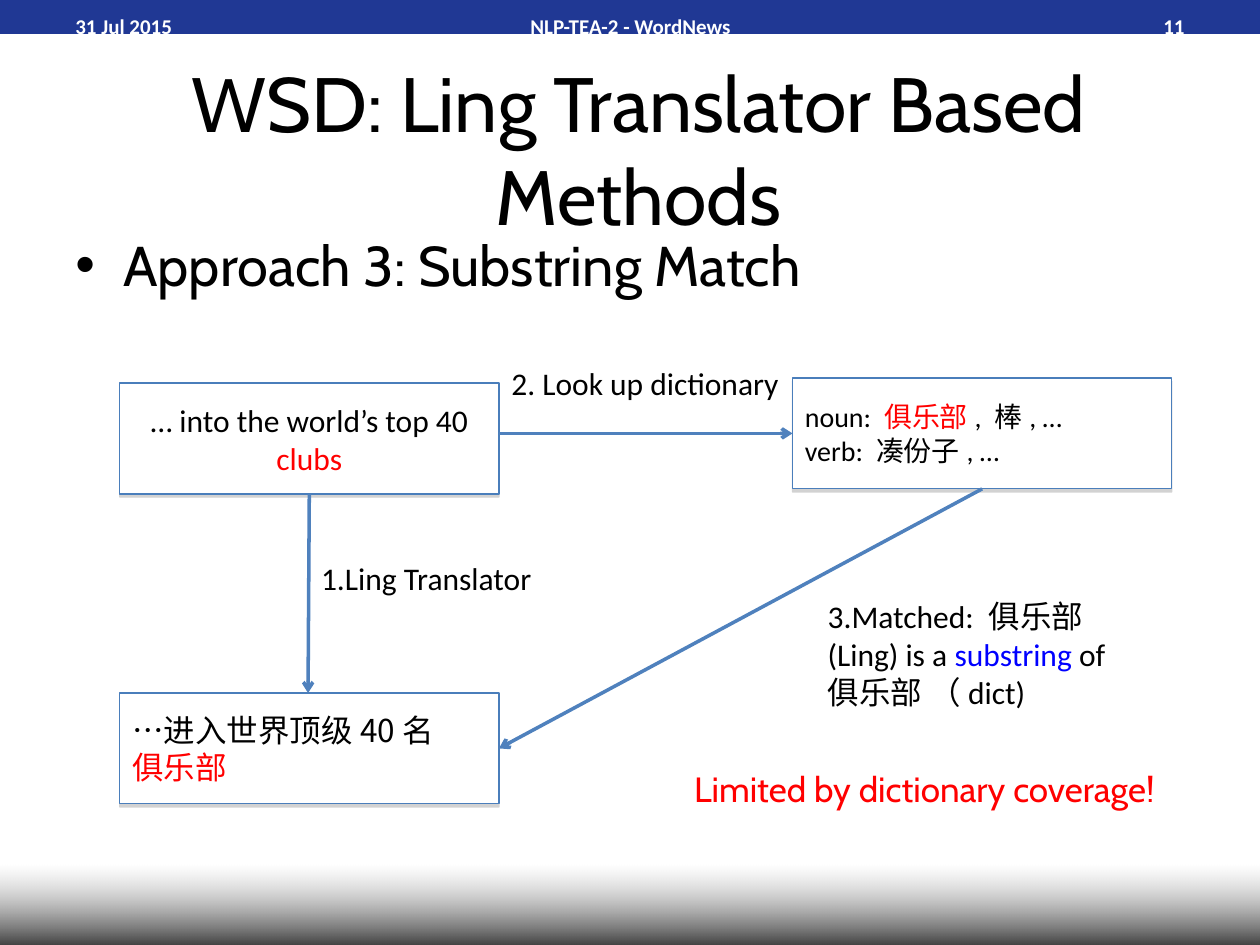
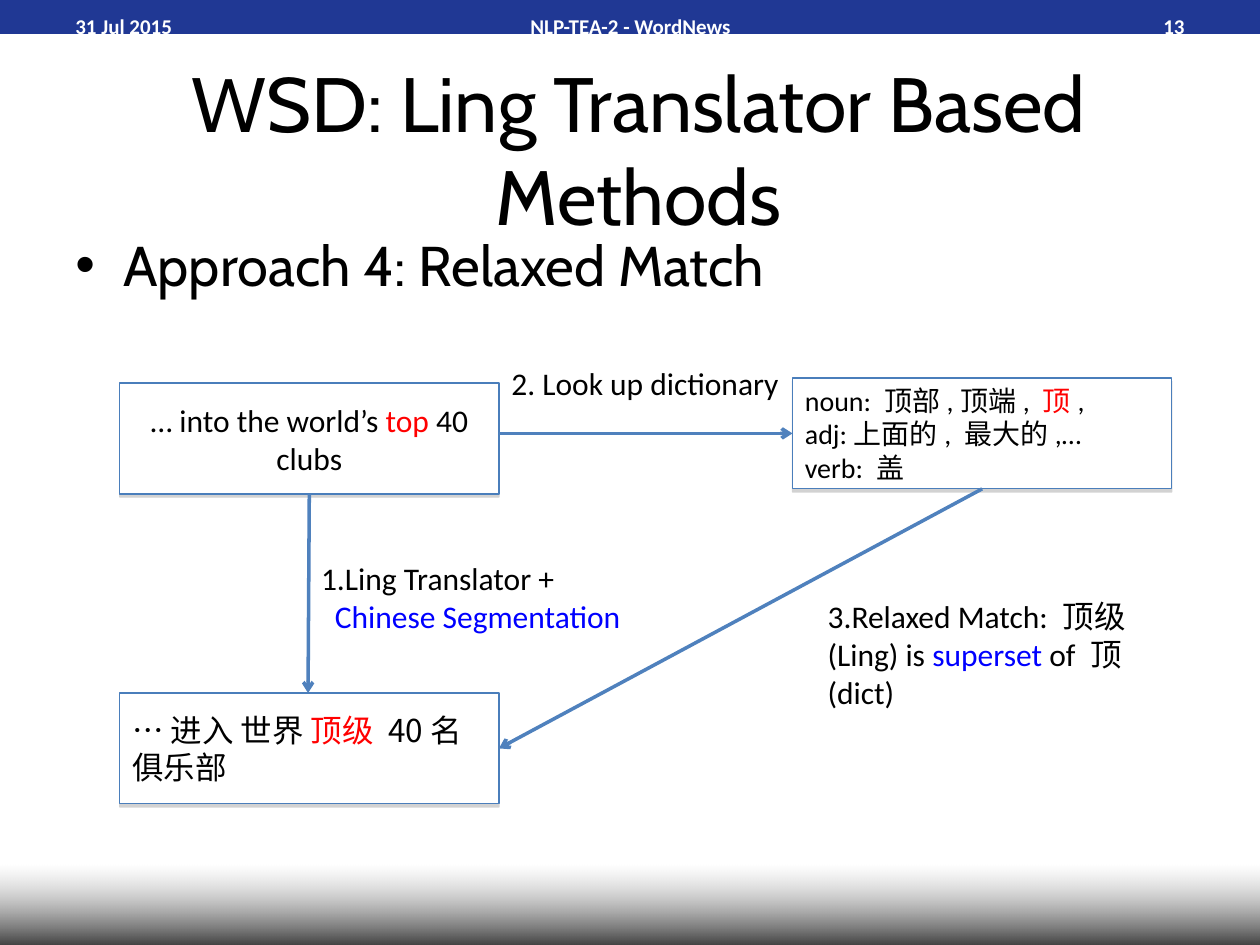
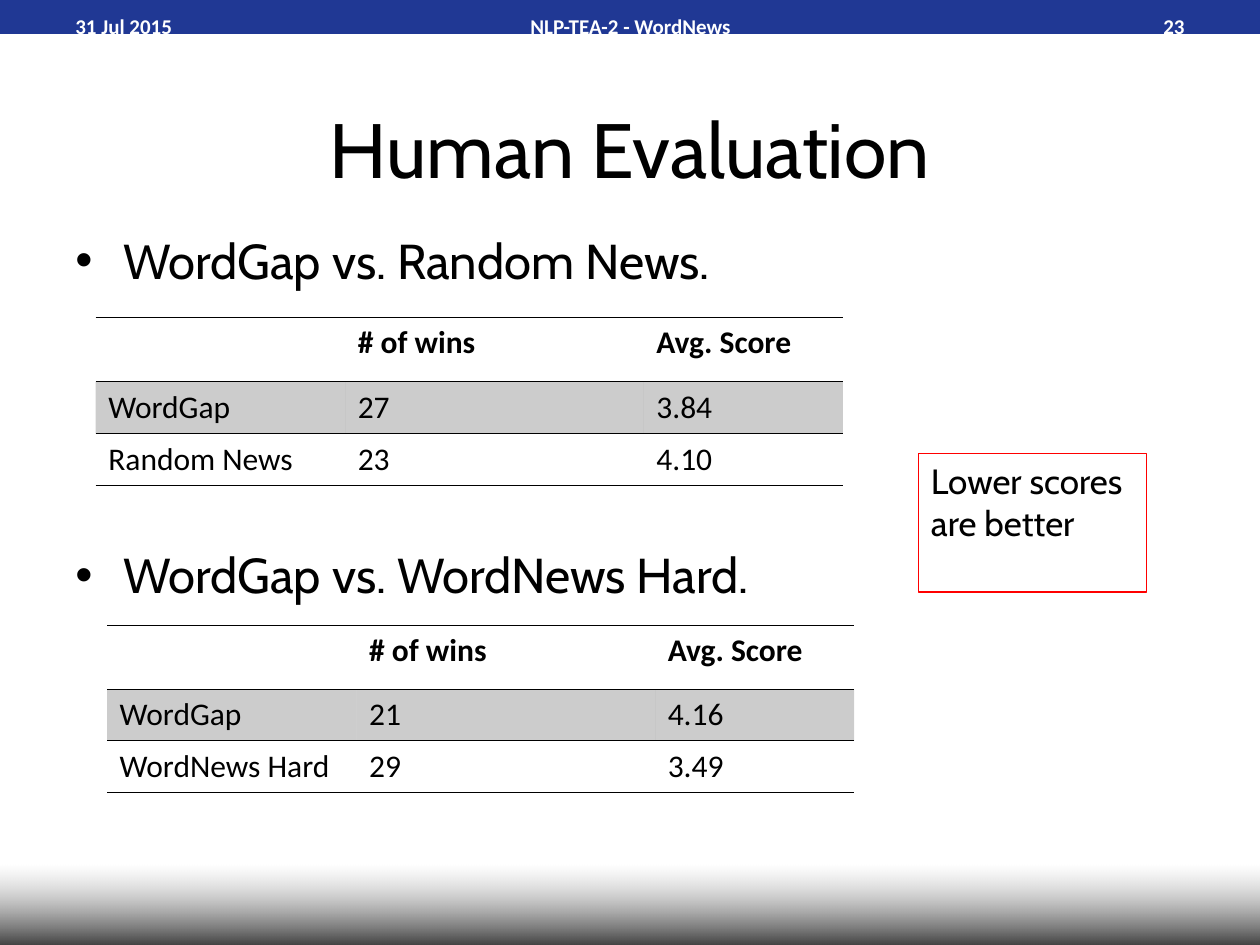
import pptx
import pptx.dml.color
import pptx.enum.shapes
import pptx.enum.text
import pptx.oxml.ns
import pptx.util
from lxml import etree

Inches, Pt = pptx.util.Inches, pptx.util.Pt
qn = pptx.oxml.ns.qn
ALIGN = pptx.enum.text.PP_ALIGN
ANCHOR = pptx.enum.text.MSO_ANCHOR
RECT = pptx.enum.shapes.MSO_SHAPE.RECTANGLE

# Shared look
HUES = {"black": "000000", "white": "FFFFFF", "band": "203894", "edge": "4A7EBB",
        "arrow": "4F81BD", "red": "FF0000", "blue": "0000FF", "shade": "808080"}
HEAD, BODY, HAN = "Cabin", "Calibri", "Noto Sans CJK SC"
FOOT_Y, FOOT_H = 0.1, 0.22

# Content: a paragraph is a list of runs, a run is text or (text, colour)
WSD = "WSD: Ling Translator Based Methods"
FLOWS = [
    dict(page="11", point="Approach 3: Substring Match",
         source=[["… into the world’s top 40 ", ("clubs", "red")]],
         entry=[["noun: ", ("俱乐部", "red"), ", 棒, …"], ["verb: 凑份子, …"]],
         target=[["…进入世界顶级40名"], [("俱乐部", "red")]],
         step=[["1.Ling Translator"]], extra=None,
         match=[["3.Matched: 俱乐部 (Ling) is a ", ("substring ", "blue"),
                 "of 俱乐部 （dict)"]],
         limit="Limited by dictionary coverage!"),
    dict(page="13", point="Approach 4: Relaxed Match",
         source=[["… into the world’s ", ("top", "red"), " 40 clubs"]],
         entry=[["noun: 顶部,顶端, ", ("顶", "red"), ","],
                ["adj:上面的, 最大的,…"], ["verb: 盖"]],
         target=[["… 进入 世界 ", ("顶级 ", "red"), "40名 俱乐部"]],
         step=[["1.Ling Translator +"]], extra="Chinese Segmentation",
         match=[["3.Relaxed Match: 顶级 (Ling) is ", ("superset ", "blue"),
                 "of 顶 (dict)"]],
         limit=None),
]
POINTS = [["WordGap vs. Random News."], ["WordGap vs. WordNews Hard."]]
HEADS = ["", "# of wins", "Avg. Score"]
SCORES = [
    ((0.76, 2.52), [HEADS, ["WordGap", "27", "3.84"], ["Random News", "23", "4.10"]]),
    ((0.85, 4.96), [HEADS, ["WordGap", "21", "4.16"], ["WordNews Hard", "29", "3.49"]]),
]
COLS, ROWS = [1.98, 2.37, 1.58], [0.51, 0.41, 0.41]


def rgb(name):
    return pptx.dml.color.RGBColor.from_string(HUES[name])


def fade(node, *shares):
    """Give each colour under node its opacity in percent."""
    for hue, share in zip(node.iter(qn("a:srgbClr")), shares):
        etree.SubElement(hue, qn("a:alpha"), val=str(share * 1000))


def write(frame, paras, size=18, font=BODY, color="black", bold=False,
          align=ALIGN.LEFT, anchor=ANCHOR.TOP, bullet=False, gap=0):
    frame.word_wrap = True
    frame.auto_size = pptx.enum.text.MSO_AUTO_SIZE.NONE
    frame.vertical_anchor = anchor
    for i, runs in enumerate(paras):
        para = frame.paragraphs[0] if i == 0 else frame.add_paragraph()
        para.alignment = align
        if i and gap:
            para.space_before = Pt(gap)
        if bullet:
            props = para._p.get_or_add_pPr()
            props.set("marL", str(Inches(0.38)))
            props.set("indent", str(-Inches(0.38)))
            etree.SubElement(props, qn("a:buFont"), typeface="Arial")
            etree.SubElement(props, qn("a:buChar"), char="•")
        for part in runs:
            words, hue = (part, color) if isinstance(part, str) else part
            run = para.add_run()
            run.text = words
            run.font.size, run.font.name, run.font.bold = Pt(size), font, bold
            run.font.color.rgb = rgb(hue)
            etree.SubElement(run.font._element, qn("a:ea"), typeface=HAN)


def label(slide, at, paras, **style):
    box = slide.shapes.add_textbox(*map(Inches, at))
    write(box.text_frame, paras, **style)
    return box


def block(slide, at, fill=None, line=None):
    shape = slide.shapes.add_shape(RECT, *map(Inches, at))
    shape.shadow.inherit = False
    if fill:
        shape.fill.solid()
        shape.fill.fore_color.rgb = rgb(fill)
    else:
        shape.fill.background()
    if line:
        shape.line.color.rgb = rgb(line)
        shape.line.width = Pt(0.75)
    else:
        shape.line.fill.background()
    return shape


def card(slide, at, paras, **style):
    shape = block(slide, at, "white", "edge")
    effects = shape._element.spPr.find(qn("a:effectLst"))
    drop = etree.SubElement(effects, qn("a:outerShdw"), blurRad="0",
                            dist=str(Pt(1.8)), dir="5400000", rotWithShape="0")
    etree.SubElement(drop, qn("a:srgbClr"), val=HUES["shade"])
    fade(drop, 35)
    write(shape.text_frame, paras, anchor=ANCHOR.MIDDLE, **style)


def arrow(slide, start, end):
    link = slide.shapes.add_connector(pptx.enum.shapes.MSO_CONNECTOR.STRAIGHT,
                                      *map(Inches, start + end))
    link.line.color.rgb = rgb("arrow")
    link.line.width = Pt(2)
    etree.SubElement(link.line._get_or_add_ln(), qn("a:tailEnd"), type="arrow")
    etree.SubElement(link._element.spPr, qn("a:effectLst"))


def start(deck, title, page, width):
    slide = deck.slides.add_slide(deck.slide_layouts[5])
    # Top band and bottom fade
    block(slide, (-0.01, 0, 10.01, 0.27), "band")
    foot = block(slide, (0, 6.86, 10.01, 0.77))
    foot.fill.gradient()
    foot.fill.gradient_angle = 90
    for stop, hue in zip(foot.fill.gradient_stops, ("black", "white")):
        stop.color.rgb = rgb(hue)
    fade(foot._element.spPr, 100, 39)
    # Title
    head = slide.shapes.title
    head.left, head.top, head.width, head.height = map(Inches, (0.5, 0.77, width, 0.81))
    write(head.text_frame, [[title]], size=44, font=HEAD, align=ALIGN.CENTER,
          anchor=ANCHOR.MIDDLE)
    # Date, event and page number
    for left, wide, words, align in ((0.5, 2.33, "31 Jul 2015", ALIGN.LEFT),
                                     (3.42, 3.17, "NLP-TEA-2 - WordNews", ALIGN.CENTER),
                                     (7.17, 2.33, page, ALIGN.RIGHT)):
        label(slide, (left, FOOT_Y, wide, FOOT_H), [[words]], size=12, color="white",
              bold=True, align=align, anchor=ANCHOR.MIDDLE)
    return slide


def points(slide, paras, **style):
    label(slide, (0.5, 1.78, 9, 5.14), paras, font=HEAD, bullet=True, **style)


def flow(deck, data):
    slide = start(deck, WSD, data["page"], 9.14)
    points(slide, [[data["point"]]], size=32)
    # Three cards
    wide, high = 3.01, 0.88
    left, right, top, low = 0.95, 6.29, 3.04, 5.5
    card(slide, (left, top, wide, high), data["source"], align=ALIGN.CENTER)
    card(slide, (right, 3, wide, high), data["entry"], size=16)
    card(slide, (left, low, wide, high), data["target"], font=HAN)
    # Arrows between them
    side, mid = left + wide, left + wide / 2
    arrow(slide, (right + wide / 2, 3 + high), (side, low + high / 2))
    arrow(slide, (mid, top + high), (mid - 0.01, low))
    arrow(slide, (side, 3.44), (right, 3.44))
    # Step labels
    steps = label(slide, (2.45, 4.39, 2.96, 0.7 if data["extra"] else 0.4), data["step"])
    if data["extra"]:
        write_next(steps.text_frame, data["extra"])
    label(slide, (side, 2.84, 2.65, 0.4), [["2. Look up dictionary"]])
    label(slide, (6.47, 4.69, 2.65, 1), data["match"])
    if data["limit"]:
        label(slide, (5.41, 6.04, 4.35, 0.44), [[data["limit"]]], size=20, font=HEAD,
              color="red")


def write_next(frame, words):
    """Add an indented blue line below the first one."""
    para = frame.add_paragraph()
    para._p.get_or_add_pPr().set("marL", str(Inches(0.11)))
    run = para.add_run()
    run.text = words
    run.font.size, run.font.name = Pt(18), BODY
    run.font.color.rgb = rgb("blue")


def rule(cell, side):
    line = etree.SubElement(cell._tc.get_or_add_tcPr(), qn("a:ln" + side), w=str(Pt(0.45)))
    fill = etree.SubElement(line, qn("a:solidFill"))
    etree.SubElement(fill, qn("a:srgbClr"), val=HUES["black"])


def grid(slide, spot, rows):
    size = (sum(COLS), sum(ROWS))
    frame = slide.shapes.add_table(len(rows), len(COLS), *map(Inches, spot + size))
    table = frame.table
    table.first_row = table.horz_banding = False
    style = next(frame._element.iter(qn("a:tableStyleId")))
    style.text = "{2D5ABB26-0587-4C30-8999-92F81FD0307C}"
    for col, wide in zip(table.columns, COLS):
        col.width = Inches(wide)
    for r, row in enumerate(rows):
        table.rows[r].height = Inches(ROWS[r])
        for c, words in enumerate(row):
            cell = table.cell(r, c)
            for side in ("TB", "T", "B")[r]:
                rule(cell, side)
            if r == 1:
                cell.fill.solid()
                cell.fill.fore_color.rgb = rgb("black")
                fade(cell._tc.tcPr.find(qn("a:solidFill")), 20)
            else:
                cell.fill.background()
            if words:
                write(cell.text_frame, [[words]], bold=r == 0)
            cell.vertical_anchor = ANCHOR.MIDDLE if r else ANCHOR.TOP


def scores(deck):
    slide = start(deck, "Human Evaluation", "23", 9)
    points(slide, POINTS, size=28, gap=146)
    for spot, rows in SCORES:
        grid(slide, spot, rows)
    note = block(slide, (7.29, 3.6, 1.81, 1.1), line="red")
    write(note.text_frame, [["Lower scores are better"]], size=20, font=HEAD)


def main():
    deck = pptx.Presentation()
    deck.slide_width, deck.slide_height = Inches(10), Inches(7.5)
    for data in FLOWS:
        flow(deck, data)
    scores(deck)
    deck.save("out.pptx")


if __name__ == "__main__":
    main()
